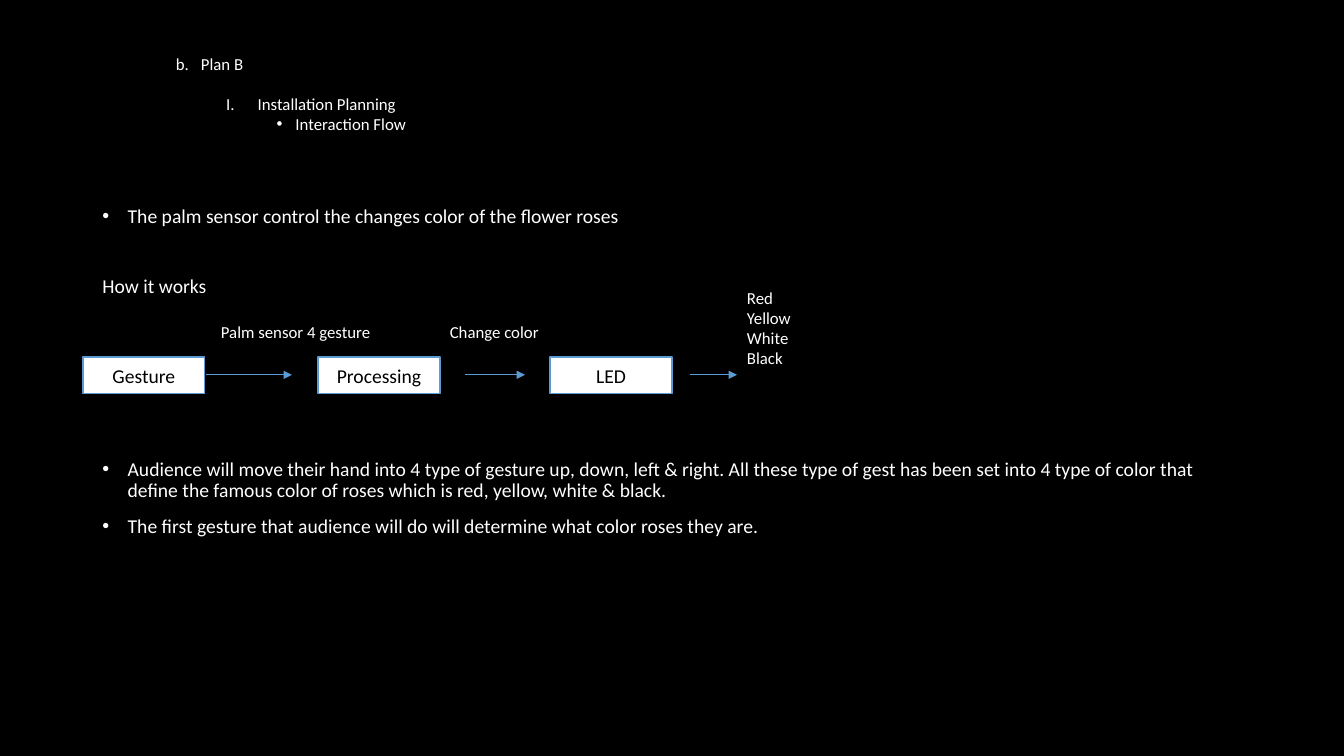
"""Build the interaction flow slide of the installation plan."""
from lxml.etree import SubElement
from pptx import Presentation
from pptx.dml.color import RGBColor
from pptx.enum.shapes import MSO_CONNECTOR, MSO_SHAPE
from pptx.enum.text import MSO_ANCHOR, MSO_AUTO_SIZE, PP_ALIGN
from pptx.oxml.ns import qn
from pptx.util import Pt

EMU_PER_PX = 9525
BLACK = RGBColor(0x00, 0x00, 0x00)
WHITE = RGBColor(0xFF, 0xFF, 0xFF)
BLUE = RGBColor(0x5B, 0x9B, 0xD5)
DOT = ("buChar", {"char": "•"})
LETTER_B = ("buAutoNum", {"type": "alphaLcPeriod", "startAt": "2"})
ROMAN = ("buAutoNum", {"type": "romanUcPeriod"})
PLAIN = ("buNone", {})


class FlowPage:
    font_name = "Calibri"
    body_size = 14
    label_size = 12

    def __init__(self, deck):
        self.page = deck.slides.add_slide(deck.slide_layouts[1])
        self.page.background.fill.solid()
        self.page.background.fill.fore_color.rgb = BLACK
        title = self.page.shapes.title
        title.element.getparent().remove(title.element)

    def px(self, *lengths):
        return [length * EMU_PER_PX for length in lengths]

    def style(self, paragraph, size, color):
        paragraph.font.name = self.font_name
        paragraph.font.size = Pt(size)
        paragraph.font.color.rgb = color

    def bullet(self, paragraph, marker, margin, hanging):
        properties = paragraph._p.get_or_add_pPr()
        left, indent = self.px(margin, -hanging)
        properties.set("marL", str(left))
        properties.set("indent", str(indent))
        tag, attributes = marker
        if marker == DOT:
            SubElement(properties, qn("a:buFont"), typeface="Arial")
        SubElement(properties, qn("a:" + tag), attributes)

    def paragraphs(self, frame, texts):
        frame.text = "\n".join(texts)
        return frame.paragraphs

    def body(self, left, top, width, height, items):
        box = self.page.placeholders[1]
        box.left, box.top, box.width, box.height = self.px(left, top, width, height)
        frame = box.text_frame
        frame.auto_size = MSO_AUTO_SIZE.NONE
        texts = [text for text, _, _ in items]
        for paragraph, (_, marker, gap) in zip(self.paragraphs(frame, texts), items):
            paragraph.line_spacing = 0.9
            paragraph.space_before = Pt(gap)
            hanging = 24 if marker == DOT else 0
            self.bullet(paragraph, marker, hanging, hanging)
            self.style(paragraph, self.body_size, WHITE)

    def label(self, left, top, width, height, texts):
        box = self.page.shapes.add_textbox(*self.px(left, top, width, height))
        frame = box.text_frame
        frame.word_wrap = False
        frame.auto_size = MSO_AUTO_SIZE.SHAPE_TO_FIT_TEXT
        for paragraph in self.paragraphs(frame, texts):
            self.style(paragraph, self.label_size, WHITE)
        return frame

    def outline(self, left, top, width, height, items):
        frame = self.label(left, top, width, height, [item[0] for item in items])
        for level, (paragraph, item) in enumerate(zip(frame.paragraphs, items)):
            _, marker, margin, hanging, gap = item
            paragraph.level = level
            paragraph.space_before = Pt(gap)
            properties = paragraph._p.get_or_add_pPr()
            font = properties.find(qn("a:defRPr"))
            self.bullet(paragraph, marker, margin, hanging)
            properties.append(font)

    def step(self, left, top, width, height, text):
        box = self.page.shapes.add_shape(
            MSO_SHAPE.RECTANGLE, *self.px(left, top, width, height))
        box.shadow.inherit = False
        box.fill.solid()
        box.fill.fore_color.rgb = WHITE
        box.line.color.rgb = BLUE
        box.line.width = Pt(1)
        box.text_frame.vertical_anchor = MSO_ANCHOR.MIDDLE
        paragraph = self.paragraphs(box.text_frame, [text])[0]
        paragraph.alignment = PP_ALIGN.CENTER
        self.style(paragraph, self.body_size, BLACK)

    def arrow(self, start, end, y):
        arrow = self.page.shapes.add_connector(
            MSO_CONNECTOR.STRAIGHT, *self.px(start, y, end, y))
        arrow.line.color.rgb = BLUE
        arrow.line.width = Pt(0.5)
        SubElement(arrow.line._get_or_add_ln(), qn("a:tailEnd"), type="triangle")
        SubElement(arrow._element.spPr, qn("a:effectLst"))


def main():
    deck = Presentation()
    deck.slide_width, deck.slide_height = 1280 * EMU_PER_PX, 720 * EMU_PER_PX
    flow = FlowPage(deck)
    flow.body(88, 192, 1104, 457, [
        ("The palm sensor control the changes color of the flower roses", DOT, 10),
        ("How it works", PLAIN, 35),
        ("Audience will move their hand into 4 type of gesture up, down, left & right. "
         "All these type of gest has been set into 4 type of color that define the "
         "famous color of roses which is red, yellow, white & black.", DOT, 115.5),
        ("The first gesture that audience will do will determine what color roses "
         "they are.", DOT, 10),
    ])
    flow.outline(158, 46, 241, 116, [
        ("Plan B", LETTER_B, 24, 24, 0),
        ("Installation Planning", ROMAN, 78, 30, 14.65),
        ("Interaction Flow", DOT, 114, 18, 0),
    ])
    for left, text in [(79, "Gesture"), (303, "Processing"), (524, "LED")]:
        flow.step(left, 340, 116, 35, text)
    for start, end in [(196, 278), (443, 500), (657, 702)]:
        flow.arrow(start, end, 357)
    flow.label(201, 302, 166, 29, ["Palm sensor 4 gesture"])
    flow.label(419, 302, 105, 29, ["Change color"])
    flow.label(702, 269, 61, 87, ["Red", "Yellow", "White", "Black"])
    deck.save("out.pptx")


if __name__ == "__main__":
    main()
